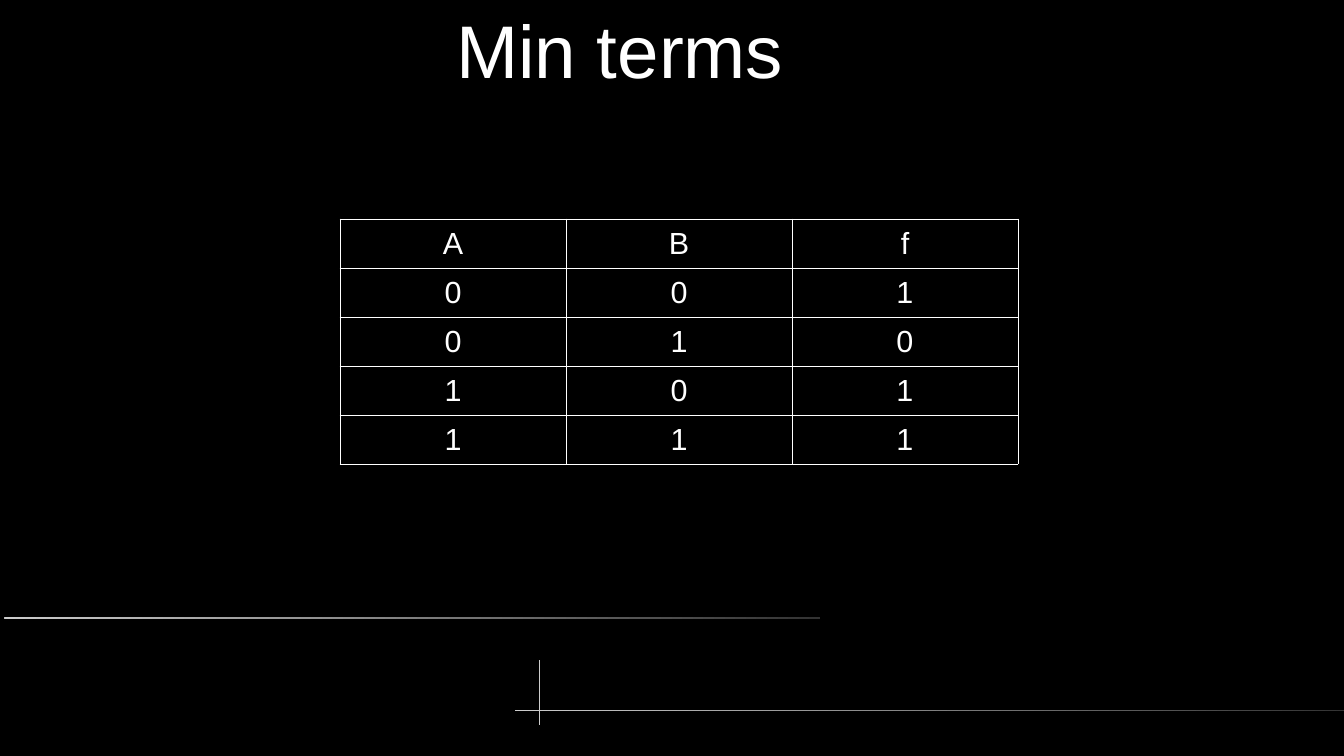
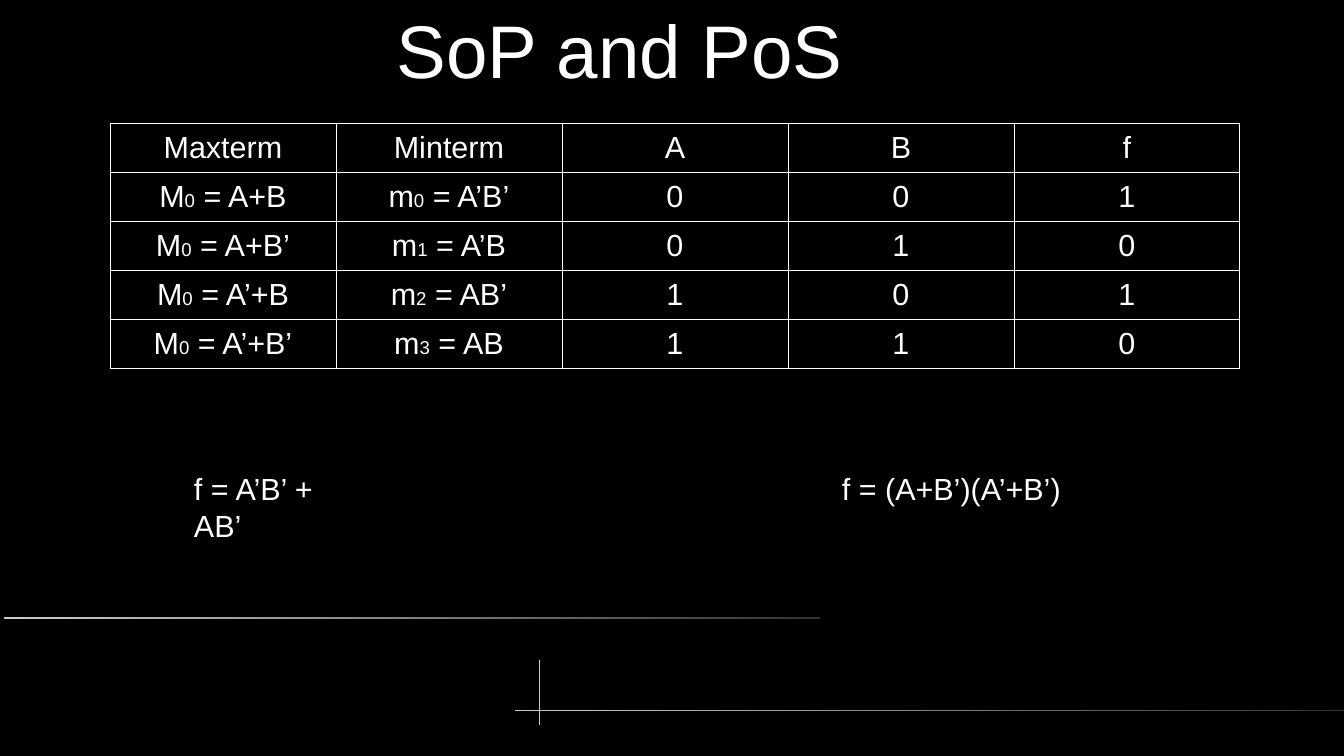
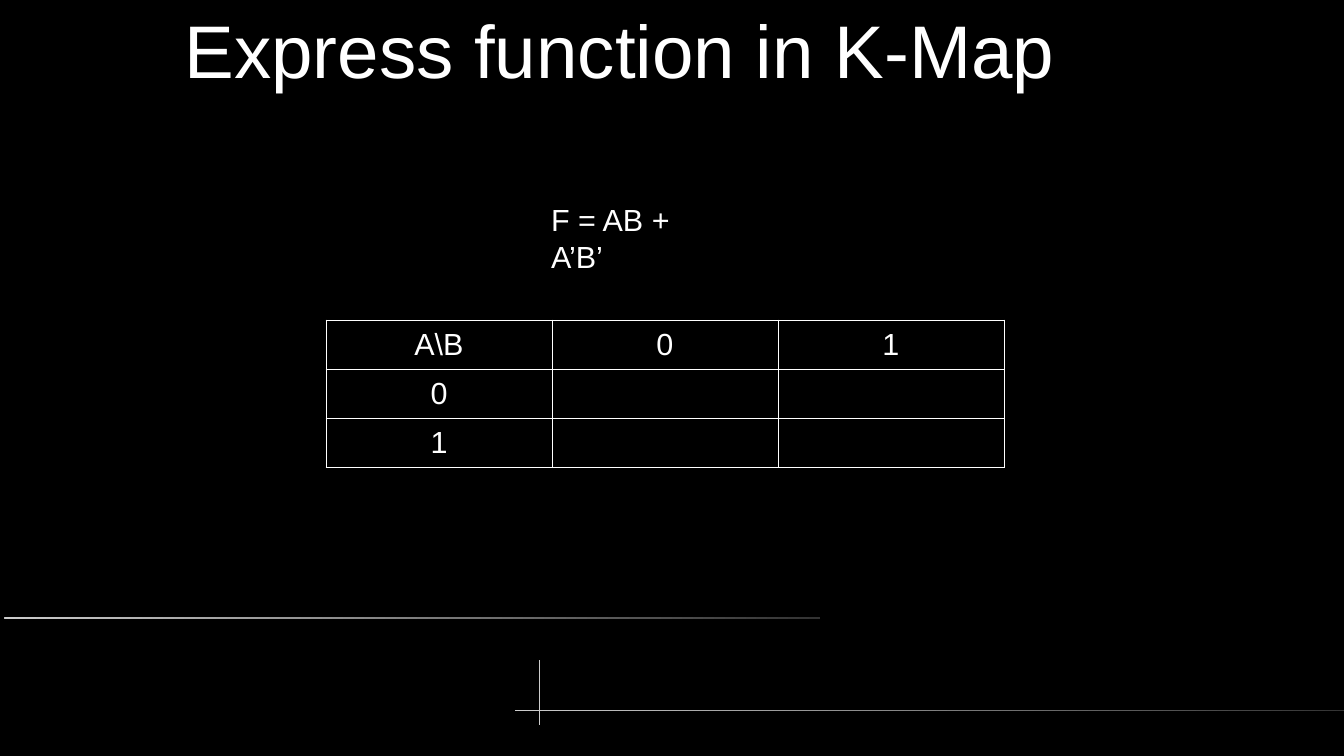
from lxml import etree
from pptx import Presentation
from pptx.dml.color import RGBColor
from pptx.enum.shapes import MSO_SHAPE
from pptx.enum.text import MSO_ANCHOR, MSO_AUTO_SIZE, PP_ALIGN
from pptx.oxml.ns import qn
from pptx.util import Emu, Pt

ROUNDED = MSO_SHAPE.ROUNDED_RECTANGLE
MIDDLE = MSO_ANCHOR.MIDDLE
NO_FIT = MSO_AUTO_SIZE.NONE
CENTER = PP_ALIGN.CENTER
LEFT = PP_ALIGN.LEFT
TITLE_ONLY = 5


def px(*lengths):
    return [Emu(length * 914400 // 122) for length in lengths]


def color(code):
    return RGBColor.from_string(code)


class Deck:
    """Holds the shared style and the slide being filled."""

    FONT = "Arial"
    BACKGROUND = "000000"
    TEXT = "FFFFFF"
    BAR_START = "CCCCCC"
    BAR_END = "333333"
    TITLE_SIZE = 44
    BODY_SIZE = 18
    SUBSCRIPT_SIZE = 11
    COLUMN_WIDTH = 226
    ROW_HEIGHT = 49
    BORDER_WIDTH = Pt(0.57)

    def __init__(self):
        self.presentation = Presentation()
        width, height = px(1344, 756)
        self.presentation.slide_width = width
        self.presentation.slide_height = height
        self.layout = self.presentation.slide_layouts[TITLE_ONLY]
        self.slide = None
        fill = self.presentation.slide_master.background.fill
        fill.solid()
        fill.fore_color.rgb = color(self.BACKGROUND)

    def add_slide(self, title):
        self.slide = self.presentation.slides.add_slide(self.layout)
        shape = self.slide.shapes.title
        shape.left, shape.top, shape.width, shape.height = px(20, 5, 1200, 88)
        frame = shape.text_frame
        frame.margin_left = frame.margin_right = 0
        frame.margin_top = frame.margin_bottom = 0
        frame.vertical_anchor = MIDDLE
        frame.auto_size = NO_FIT
        frame.word_wrap = True
        self.set_text(frame, title, self.TITLE_SIZE, CENTER)

    def set_text(self, frame, text, size, alignment):
        paragraph = frame.paragraphs[0]
        paragraph.text = text
        paragraph.alignment = alignment
        self.format_runs(paragraph, size)

    def format_runs(self, paragraph, size):
        for run in paragraph.runs:
            run.font.name = self.FONT
            run.font.size = Pt(size)
            run.font.color.rgb = color(self.TEXT)

    def layout_bar(self, left, top, width, height, end):
        shape = self.slide.shapes.add_shape(ROUNDED, *px(left, top, width, height))
        shape.adjustments[0] = 0.5
        shape.shadow.inherit = False
        shape.line.fill.background()
        shape.fill.gradient()
        shape.fill.gradient_angle = 0
        for stop, code, position in zip(
            shape.fill.gradient_stops, (self.BAR_START, end), (0, 1)
        ):
            stop.color.rgb = color(code)
            stop.position = position
        self.layout.shapes.element.append(shape.element)

    def decorate_layout(self):
        self.layout_bar(4, 617, 816, 2, self.BAR_END)
        self.layout_bar(515, 710, 832, 1, self.BAR_END)
        self.layout_bar(539, 660, 1, 65, self.BAR_START)

    def formula(self, left, top, width, text):
        shape = self.slide.shapes.add_textbox(*px(left, top, width, 46))
        shape.text_frame.word_wrap = False
        self.set_text(shape.text_frame, text, self.BODY_SIZE, LEFT)

    def table(self, left, top, rows):
        row_count, column_count = len(rows), len(rows[0])
        width, height = self.COLUMN_WIDTH, self.ROW_HEIGHT
        table = self.slide.shapes.add_table(
            row_count,
            column_count,
            *px(left, top, width * column_count, height * row_count),
        ).table
        table.first_row = table.horz_banding = False
        for column in table.columns:
            column.width = px(width)[0]
        for row, texts in zip(table.rows, rows):
            row.height = px(height)[0]
            for cell, text in zip(row.cells, texts):
                self.fill_cell(cell, text)

    def fill_cell(self, cell, text):
        cell.margin_left, cell.margin_right = px(5, 5)
        cell.margin_top, cell.margin_bottom = px(6, 6)
        cell.vertical_anchor = MIDDLE
        cell.fill.background()
        self.border(cell)
        base, mark, rest = text.partition("_")
        self.set_text(cell.text_frame, base, self.BODY_SIZE, CENTER)
        if mark:
            paragraph = cell.text_frame.paragraphs[0]
            subscript = paragraph.add_run()
            subscript.text = rest[0]
            paragraph.add_run().text = rest[1:]
            self.format_runs(paragraph, self.BODY_SIZE)
            subscript.font.size = Pt(self.SUBSCRIPT_SIZE)

    def border(self, cell):
        properties = cell._tc.get_or_add_tcPr()
        for index, side in enumerate(("a:lnL", "a:lnR", "a:lnT", "a:lnB")):
            line = etree.Element(qn(side), w=str(int(self.BORDER_WIDTH)))
            fill = etree.SubElement(line, qn("a:solidFill"))
            etree.SubElement(fill, qn("a:srgbClr"), val=self.TEXT)
            properties.insert(index, line)


def main():
    deck = Deck()

    deck.add_slide("Min terms")
    deck.decorate_layout()
    deck.table(340, 219, ["ABf", "001", "010", "101", "111"])

    deck.add_slide("SoP and PoS")
    deck.table(110, 123, [
        ("Maxterm", "Minterm", "A", "B", "f"),
        ("M_0 = A+B", "m_0 = A’B’", "0", "0", "1"),
        ("M_0 = A+B’", "m_1 = A’B", "0", "1", "0"),
        ("M_0 = A’+B", "m_2 = AB’", "1", "0", "1"),
        ("M_0 = A’+B’", "m_3 = AB", "1", "1", "0"),
    ])
    deck.formula(182, 464, 196, "f = A’B’ + AB’")
    deck.formula(830, 464, 243, "f = (A+B’)(A’+B’)")

    deck.add_slide("Express function in K-Map")
    deck.table(326, 320, [("A\\B", "0", "1"), ("0", "", ""), ("1", "", "")])
    deck.formula(539, 195, 201, "F = AB + A’B’")

    deck.presentation.save("out.pptx")


if __name__ == "__main__":
    main()
